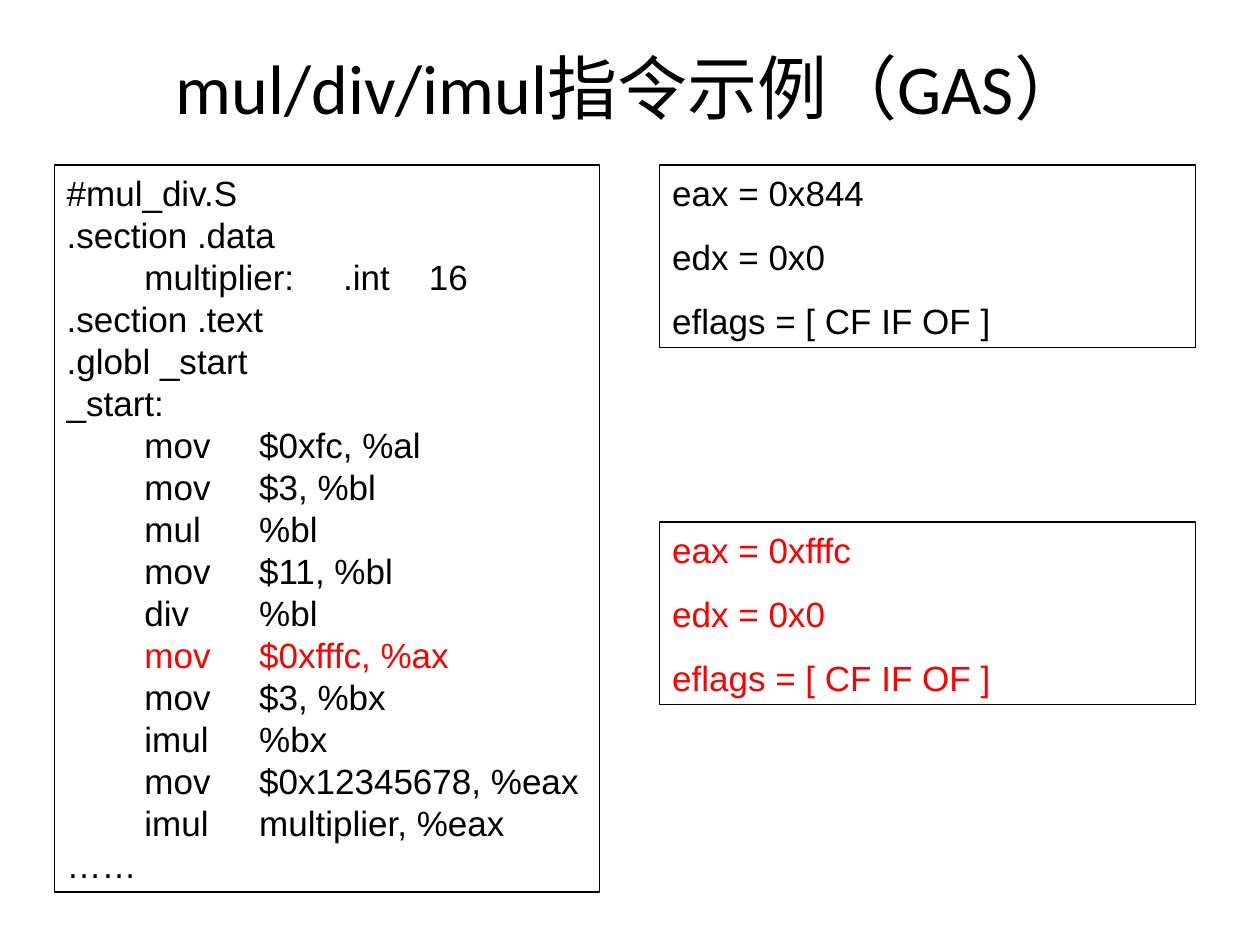
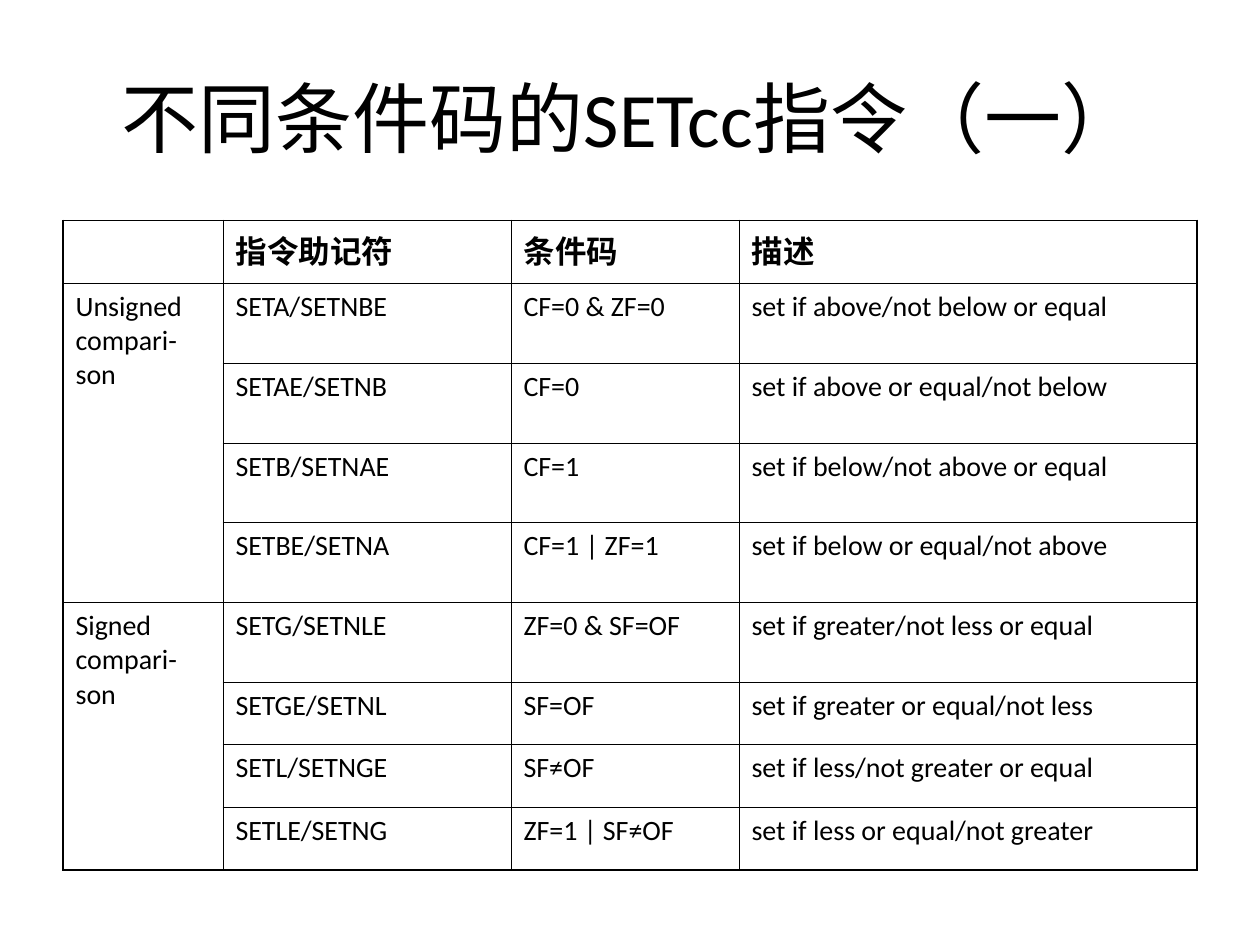
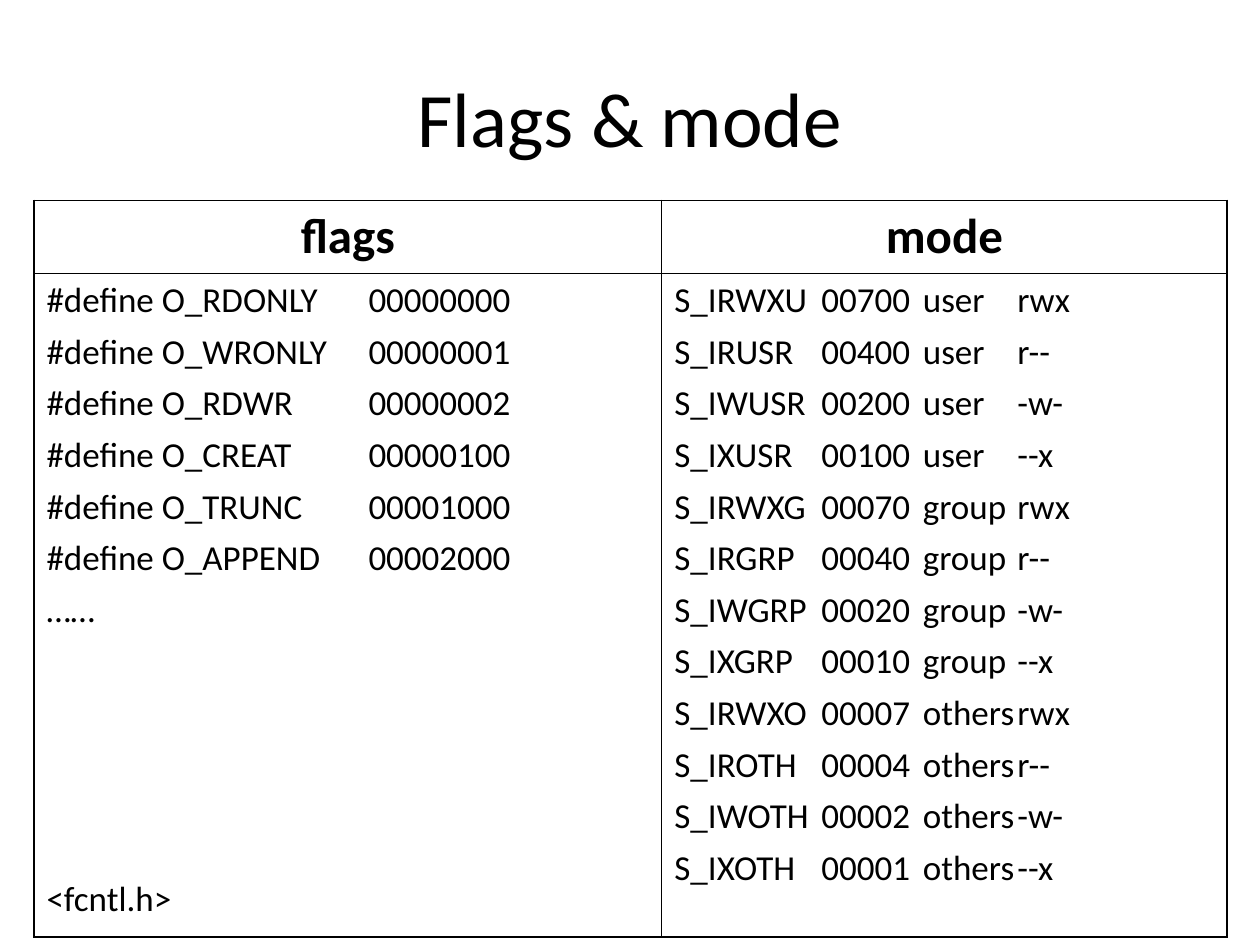
from dataclasses import dataclass

from lxml.etree import SubElement
from pptx import Presentation
from pptx.dml.color import RGBColor
from pptx.enum.shapes import MSO_SHAPE as Shape
from pptx.enum.text import MSO_ANCHOR as Anchor, PP_ALIGN as Align
from pptx.oxml.ns import qn
from pptx.util import Pt


@dataclass(frozen=True)
class Theme:
    ink: str = "000000"
    paper: str = "FFFFFF"
    hot: str = "FF0000"
    sans: str = "Calibri"
    code: str = "Arial"
    title: int = 44
    small: int = 40
    head: int = 28
    body: int = 20
    label: int = 18
    note: int = 16
    thick: float = 1.08
    thin: float = 0.45
    frame: float = 0.75


T = Theme()

CODE = """#mul_div.S
.section .data
        multiplier:\t.int\t16
.section .text
.globl _start
_start:
        mov\t$0xfc, %al
        mov\t$3, %bl
        mul\t%bl
        mov\t$11, %bl
        div\t%bl
        mov\t$0xfffc, %ax
        mov\t$3, %bx
        imul\t%bx
        mov\t$0x12345678, %eax
        imul\tmultiplier, %eax
……""".split("\n")

SETS = [
    ("", "指令助记符", "条件码", "描述"),
    ("Unsigned compari-son", "SETA/SETNBE", "CF=0 & ZF=0", "set if above/not below or equal"),
    ("", "SETAE/SETNB", "CF=0", "set if above or equal/not below"),
    ("", "SETB/SETNAE", "CF=1", "set if below/not above or equal"),
    ("", "SETBE/SETNA", "CF=1 | ZF=1", "set if below or equal/not above"),
    ("Signed compari-son", "SETG/SETNLE", "ZF=0 & SF=OF", "set if greater/not less or equal"),
    ("", "SETGE/SETNL", "SF=OF", "set if greater or equal/not less"),
    ("", "SETL/SETNGE", "SF≠OF", "set if less/not greater or equal"),
    ("", "SETLE/SETNG", "ZF=1 | SF≠OF", "set if less or equal/not greater"),
]

FLAGS = [
    "#define O_RDONLY\t00000000",
    "#define O_WRONLY\t00000001",
    "#define O_RDWR\t00000002",
    "#define O_CREAT\t00000100",
    "#define O_TRUNC\t00001000",
    "#define O_APPEND\t00002000",
    "……",
    "<fcntl.h>",
]

MODES = [
    "S_IRWXU\t00700\tuser\trwx",
    "S_IRUSR\t00400\tuser\tr--",
    "S_IWUSR\t00200\tuser\t-w-",
    "S_IXUSR\t00100\tuser\t--x",
    "S_IRWXG\t00070\tgroup\trwx",
    "S_IRGRP\t00040\tgroup\tr--",
    "S_IWGRP\t00020\tgroup\t-w-",
    "S_IXGRP\t00010\tgroup\t--x",
    "S_IRWXO\t00007\tothers\trwx",
    "S_IROTH\t00004\tothers\tr--",
    "S_IWOTH\t00002\tothers\t-w-",
    "S_IXOTH\t00001\tothers\t--x",
]


def points(box):
    return [Pt(n) for n in box]


def write(frame, lines, size, face=T.sans, color=T.ink, bold=False,
          align=Align.LEFT, gap=0, pitch=None, tabs=()):
    frame.word_wrap = True
    for i, line in enumerate(lines):
        para = frame.add_paragraph() if i else frame.paragraphs[0]
        para.text = line
        para.alignment = align
        if "\t" in line:
            stops = SubElement(para._p.get_or_add_pPr(), qn("a:tabLst"))
            for stop in tabs:
                SubElement(stops, qn("a:tab"), pos=str(Pt(stop)), algn="l")
        if i and gap:
            para.space_before = Pt(gap)
        if pitch:
            para.line_spacing = Pt(pitch)
        font = para.font
        font.name, font.size, font.bold = face, Pt(size), bold
        font.color.rgb = RGBColor.from_string(color)
    return frame.paragraphs


def title(slide, text, box, size=T.title):
    frame = slide.shapes.add_textbox(*points(box)).text_frame
    frame.vertical_anchor = Anchor.MIDDLE
    write(frame, [text], size, align=Align.CENTER)


def panel(slide, lines, box, **style):
    shape = slide.shapes.add_shape(Shape.RECTANGLE, *points(box))
    shape.shadow.inherit = False
    shape.fill.background()
    shape.line.color.rgb = RGBColor.from_string(T.ink)
    shape.line.width = Pt(T.frame)
    shape.text_frame.vertical_anchor = Anchor.TOP
    return write(shape.text_frame, lines, T.body, T.code, pitch=24, **style)


def border(cell, outer):
    props = cell._tc.get_or_add_tcPr()
    for side, edge in zip("LRTB", outer):
        width = T.thick if edge else T.thin
        line = SubElement(props, qn(f"a:ln{side}"), w=str(Pt(width)))
        fill = SubElement(line, qn("a:solidFill"))
        SubElement(fill, qn("a:srgbClr"), val=T.ink)


def grid(slide, left, top, cols, rows, spans=()):
    box = points((left, top, sum(cols), sum(rows)))
    table = slide.shapes.add_table(len(rows), len(cols), *box).table
    table.first_row = table.horz_banding = False
    for col, width in zip(table.columns, cols):
        col.width = Pt(width)
    for row, height in zip(table.rows, rows):
        row.height = Pt(height)
    for first, last in spans:
        table.cell(first, 0).merge(table.cell(last, 0))
    for r in range(len(rows)):
        for c in range(len(cols)):
            cell = table.cell(r, c)
            deep = cell.span_height if cell.is_merge_origin else 1
            border(cell, (c == 0, c == len(cols) - 1, r == 0, r + deep == len(rows)))
            cell.fill.solid()
            cell.fill.fore_color.rgb = RGBColor.from_string(T.paper)
    return table


def samples(slide):
    title(slide, "mul/div/imul指令示例（GAS）", (36, 21.6, 648, 55.4), T.small)
    lines = panel(slide, CODE, (31, 94.3, 311.8, 415.4), tabs=(110, 158, 207))
    for para in lines:
        if "$0xfffc" in para.text:
            para.font.color.rgb = RGBColor.from_string(T.hot)
    for value, top, color in (("0x844", 94.3, T.ink), ("0xfffc", 298.3, T.hot)):
        state = [f"eax = {value}", "edx = 0x0", "eflags = [ CF IF OF ]"]
        panel(slide, state, (377, top, 306, 104.4), color=color, gap=12.5)


def setters(slide):
    title(slide, "不同条件码的SETcc指令（一）", (36, 21.6, 648, 90))
    rows = [36] + [45.6] * 5 + [35.7] * 3
    table = grid(slide, 36, 126, (91.4, 164.6, 130.3, 261.7), rows, ((1, 4), (5, 8)))
    for r, row in enumerate(SETS):
        for c, text in enumerate(row):
            if text:
                size = T.note if r else T.label
                write(table.cell(r, c).text_frame, [text], size, bold=r == 0)


def modes(slide):
    title(slide, "Flags & mode", (36, 21.6, 648, 90))
    table = grid(slide, 19.4, 114.5, (358.8, 323), (41.6, 379.4))
    parts = (("flags", FLAGS, (184,)), ("mode", MODES, (84, 142, 196)))
    for c, (head, lines, tabs) in enumerate(parts):
        write(table.cell(0, c).text_frame, [head], T.head, bold=True, align=Align.CENTER)
        paras = write(table.cell(1, c).text_frame, lines, T.body, gap=5, tabs=tabs)
        if lines is FLAGS:
            paras[-1].space_before = Pt(141)


def main():
    deck = Presentation()
    deck.slide_width, deck.slide_height = Pt(720), Pt(540)
    for build in (samples, setters, modes):
        build(deck.slides.add_slide(deck.slide_layouts[6]))
    deck.save("out.pptx")


if __name__ == "__main__":
    main()
